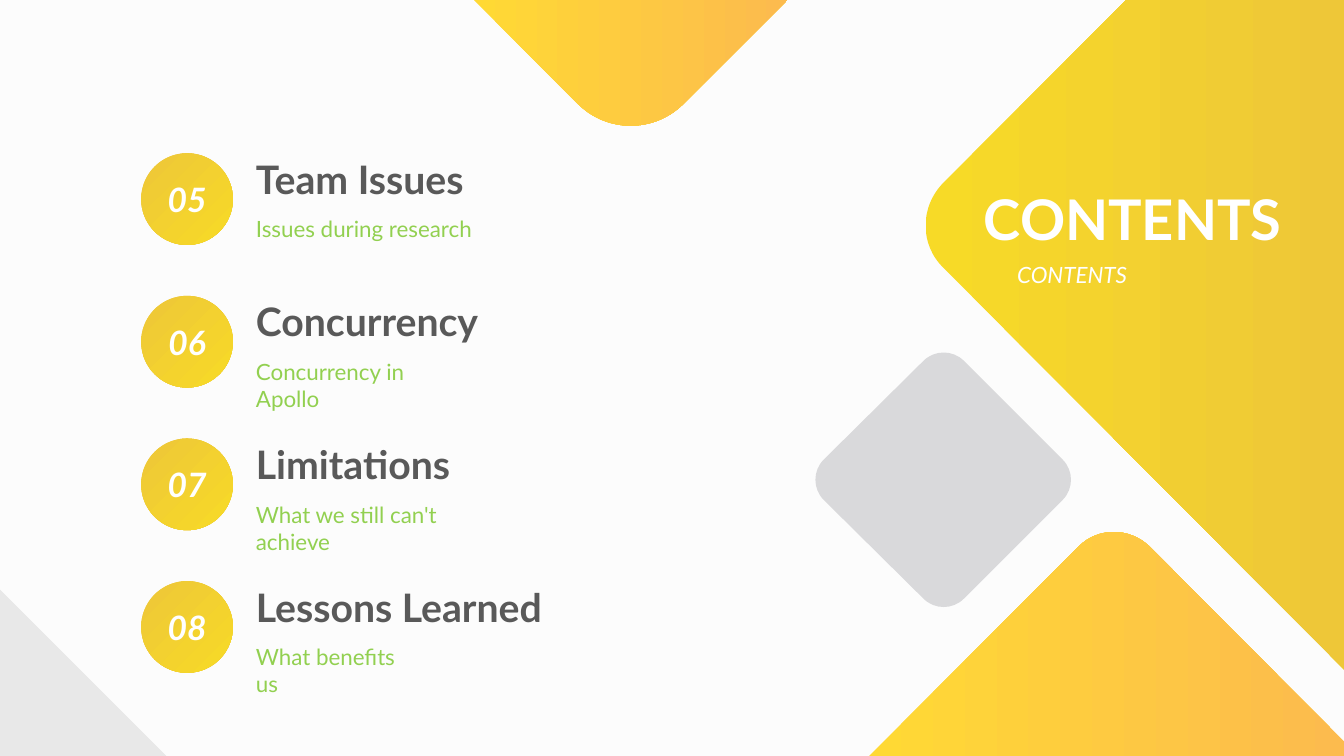
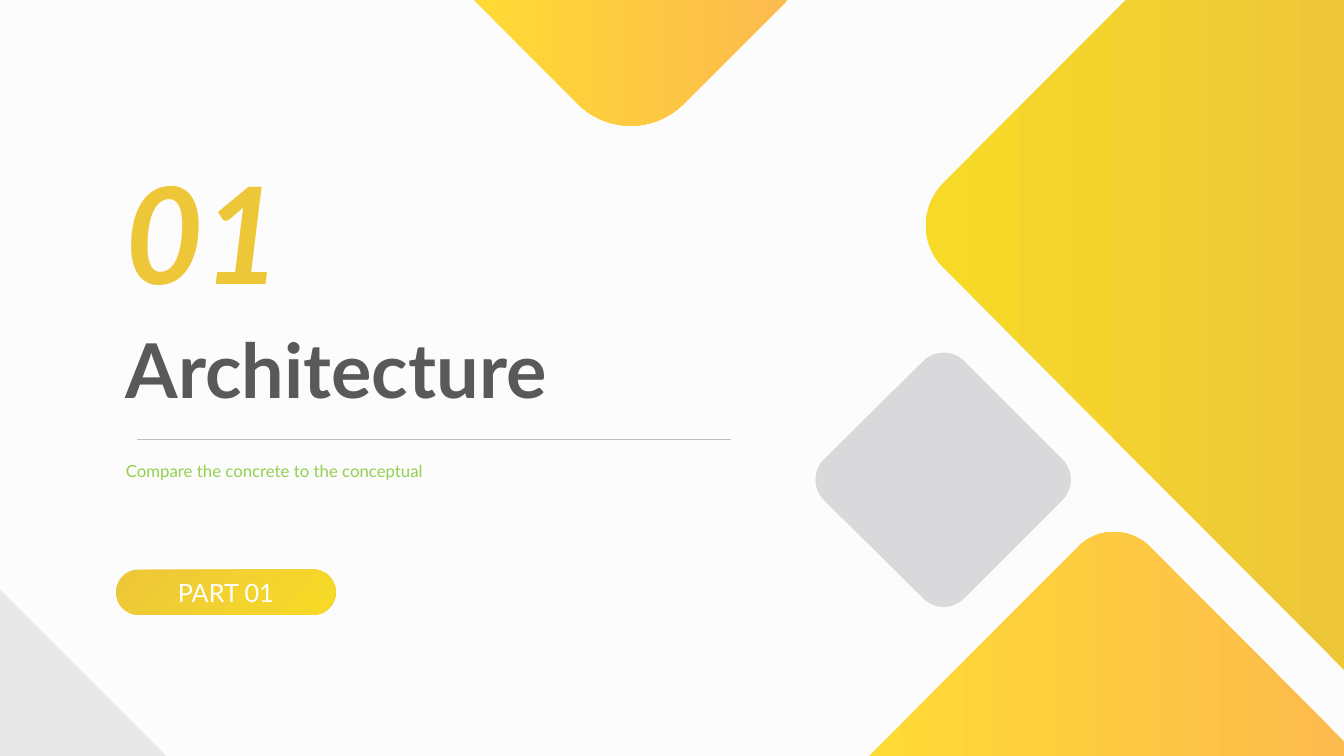
"""Build a contents slide and a section slide on a shared diamond backdrop."""
from lxml import etree
from pptx import Presentation
from pptx.dml.color import RGBColor
from pptx.enum import shapes, text
from pptx.oxml.ns import qn
from pptx.util import Inches, Pt

FONT = "Lato"
PAPER, WHITE, DARK, GREEN = "FCFCFC", "FFFFFF", "595959", "92D050"
RULE, CORNER, DIAMOND = "BFBFBF", "E8E8E8", "D9D9DB"
GOLD = ("EEC738", "F7DA27")
GOLD_REVERSED = GOLD[::-1]
ORANGE = ("FFD934", "FCBB4E")
DIAGONAL = 315
WIDTH, HEIGHT = 13.33, 7.5
BLEED = 13.36
UNITS_PER_INCH = 1000
CURVE_STEPS = 16

BACKDROP = [
    (CORNER, [(0, 5.85), (0, HEIGHT), (1.65, HEIGHT)]),
    (GOLD_REVERSED, [(9.36, 2.66), (BLEED, 6.67), (BLEED, 0), (11.17, 0),
                     (9.36, 1.81), (9.12, 2.05, 9.12, 2.43, 9.36, 2.66)]),
    (ORANGE, [(10.7, 5.42), (8.62, HEIGHT), (BLEED, HEIGHT), (BLEED, 7.39),
              (11.4, 5.42), (11.2, 5.23, 10.89, 5.23, 10.7, 5.42)]),
    (ORANGE, [(6.78, 1.03), (7.81, 0), (4.7, 0), (5.73, 1.03),
              (6.02, 1.32, 6.49, 1.32, 6.78, 1.03)]),
    (DIAMOND, [(9.16, 5.94), (9.27, 6.05, 9.45, 6.05, 9.56, 5.94),
               (10.54, 4.96), (10.65, 4.85, 10.65, 4.67, 10.54, 4.56),
               (9.56, 3.58), (9.45, 3.47, 9.27, 3.47, 9.16, 3.58),
               (8.17, 4.56), (8.06, 4.67, 8.06, 4.85, 8.17, 4.96)]),
]

TOPICS = [
    ("05", "Team Issues", "Issues during research", 2.4),
    ("06", "Concurrency", "Concurrency in Apollo", 2.05),
    ("07", "Limitations", "What we still can't achieve", 2.4),
    ("08", "Lessons Learned", "What benefits us", 1.8),
]
TOPIC_TOP, TOPIC_PITCH = 1.52, 1.415


def rgb(value):
    """Turn a hex string into a colour."""
    return RGBColor.from_string(value)


def paint(fill, colour, angle=0):
    """Fill with one colour, or with a gradient between two."""
    if isinstance(colour, str):
        fill.solid()
        fill.fore_color.rgb = rgb(colour)
        return
    fill.gradient()
    fill.gradient_angle = angle
    for stop, value in zip(fill.gradient_stops, colour):
        stop.color.rgb = rgb(value)


def flatten(outline):
    """Trace an outline with straight steps to find its extent."""
    points = []
    for segment in outline:
        if len(segment) == 2:
            points.append(segment)
            continue
        controls = [points[-1], segment[:2], segment[2:4], segment[4:]]
        for step in range(1, CURVE_STEPS + 1):
            t = step / CURVE_STEPS
            weights = ((1 - t) ** 3, 3 * t * (1 - t) ** 2, 3 * t * t * (1 - t), t ** 3)
            points.append(tuple(sum(w * c[axis] for w, c in zip(weights, controls))
                                for axis in (0, 1)))
    return [tuple(round(value * UNITS_PER_INCH) for value in point) for point in points]


def trace_curves(shape, outline, left, top):
    """Write an outline into a freeform with true Bezier curves."""
    track = shape.element.find(".//" + qn("a:path"))
    for child in list(track):
        track.remove(child)
    for index, segment in enumerate(outline):
        kind = "a:cubicBezTo" if len(segment) == 6 else "a:lnTo" if index else "a:moveTo"
        command = etree.SubElement(track, qn(kind))
        for x, y in zip(segment[::2], segment[1::2]):
            etree.SubElement(command, qn("a:pt"),
                             x=str(round(x * UNITS_PER_INCH) - left),
                             y=str(round(y * UNITS_PER_INCH) - top))
    etree.SubElement(track, qn("a:close"))


def finish(shape, colour, angle=0):
    """Give a shape its fill and take away line and shadow."""
    shape.shadow.inherit = False
    shape.line.fill.background()
    paint(shape.fill, colour, angle)


def add_outline(slide, outline, colour):
    """Draw a closed freeform outline."""
    points = flatten(outline)
    builder = slide.shapes.build_freeform(*points[0], scale=Inches(1) / UNITS_PER_INCH)
    builder.add_line_segments(points[1:], close=True)
    shape = builder.convert_to_shape()
    left, top = (min(values) for values in zip(*points))
    trace_curves(shape, outline, left, top)
    finish(shape, colour)
    return shape


def set_text(frame, wording, size, colour, bold=False, italic=False, align=None):
    """Write one formatted paragraph."""
    frame.text = wording
    frame.word_wrap = True
    paragraph = frame.paragraphs[0]
    paragraph.alignment = align
    font = paragraph.runs[0].font
    font.name, font.size, font.bold, font.italic = FONT, Pt(size), bold, italic
    paint(font.fill, colour, DIAGONAL)
    return paragraph


def add_label(slide, box, wording, size, colour, **style):
    """Add a text box and return its paragraph."""
    label = slide.shapes.add_textbox(*map(Inches, box))
    return set_text(label.text_frame, wording, size, colour, **style)


def add_badge(slide, kind, box, wording, size, **style):
    """Add a gold shape with centred white text."""
    badge = slide.shapes.add_shape(kind, *map(Inches, box))
    finish(badge, GOLD, DIAGONAL)
    badge.text_frame.vertical_anchor = text.MSO_ANCHOR.MIDDLE
    set_text(badge.text_frame, wording, size, WHITE, align=text.PP_ALIGN.CENTER, **style)
    return badge


def add_rule(slide, left, right, top):
    """Add a thin horizontal line."""
    rule = slide.shapes.add_connector(
        shapes.MSO_CONNECTOR.STRAIGHT, *map(Inches, (left, top, right, top)))
    rule.line.color.rgb = rgb(RULE)
    rule.line.width = Pt(0.75)
    etree.SubElement(rule.element.spPr, qn("a:effectLst"))


def dress_master(master, slide):
    """Draw the backdrop once and move it to the slide master."""
    paint(master.background.fill, PAPER)
    for number, (colour, outline) in enumerate(BACKDROP, start=20):
        element = add_outline(slide, outline, colour).element
        element.nvSpPr.cNvPr.set("id", str(number))
        master.shapes.element.append(element)


def add_topic(slide, top, number, heading, summary, summary_width):
    """Add one numbered entry of the contents list."""
    add_badge(slide, shapes.MSO_SHAPE.OVAL, (1.4, top, 0.91, 0.91), number, 24,
              bold=True, italic=True)
    add_label(slide, (2.44, top - 0.03, 3.6, 0.57), heading, 28, DARK, bold=True)
    add_label(slide, (2.44, top + 0.57, summary_width, 0.37), summary, 16, GREEN)


def fill_contents(slide):
    """Fill the contents slide."""
    justify = text.PP_ALIGN.JUSTIFY
    add_label(slide, (9.99, 2.54, 2.31, 0.37), "CONTENTS", 16, WHITE,
              italic=True, align=justify)
    add_label(slide, (9.66, 1.78, 3.18, 0.77), "CONTENTS", 40, WHITE,
              bold=True, align=justify)
    for row, topic in enumerate(TOPICS):
        add_topic(slide, TOPIC_TOP + row * TOPIC_PITCH, *topic)


def fill_section(slide, number, title, summary):
    """Fill a section opening slide."""
    add_label(slide, (1.15, 3.15, 5.6, 1.01), title, 54, DARK, bold=True)
    add_label(slide, (1.15, 1.44, 1.99, 1.72), number, 96, GOLD, bold=True, italic=True)
    add_label(slide, (1.15, 4.42, 6.29, 0.4), summary, 12, GREEN).line_spacing = 1.5
    part = add_badge(slide, shapes.MSO_SHAPE.ROUNDED_RECTANGLE,
                     (1.15, 5.65, 2.18, 0.45), f"PART {number}", 18)
    part.adjustments[0] = 0.5
    add_rule(slide, 1.36, 7.25, 4.36)


def main():
    """Build and save the presentation."""
    deck = Presentation()
    deck.slide_width, deck.slide_height = Inches(WIDTH), Inches(HEIGHT)
    blank = deck.slide_layouts[6]
    contents, section = (deck.slides.add_slide(blank) for _ in range(2))
    dress_master(deck.slide_master, contents)
    fill_contents(contents)
    fill_section(section, "01", "Architecture", "Compare the concrete to the conceptual")
    deck.save("out.pptx")


if __name__ == "__main__":
    main()
